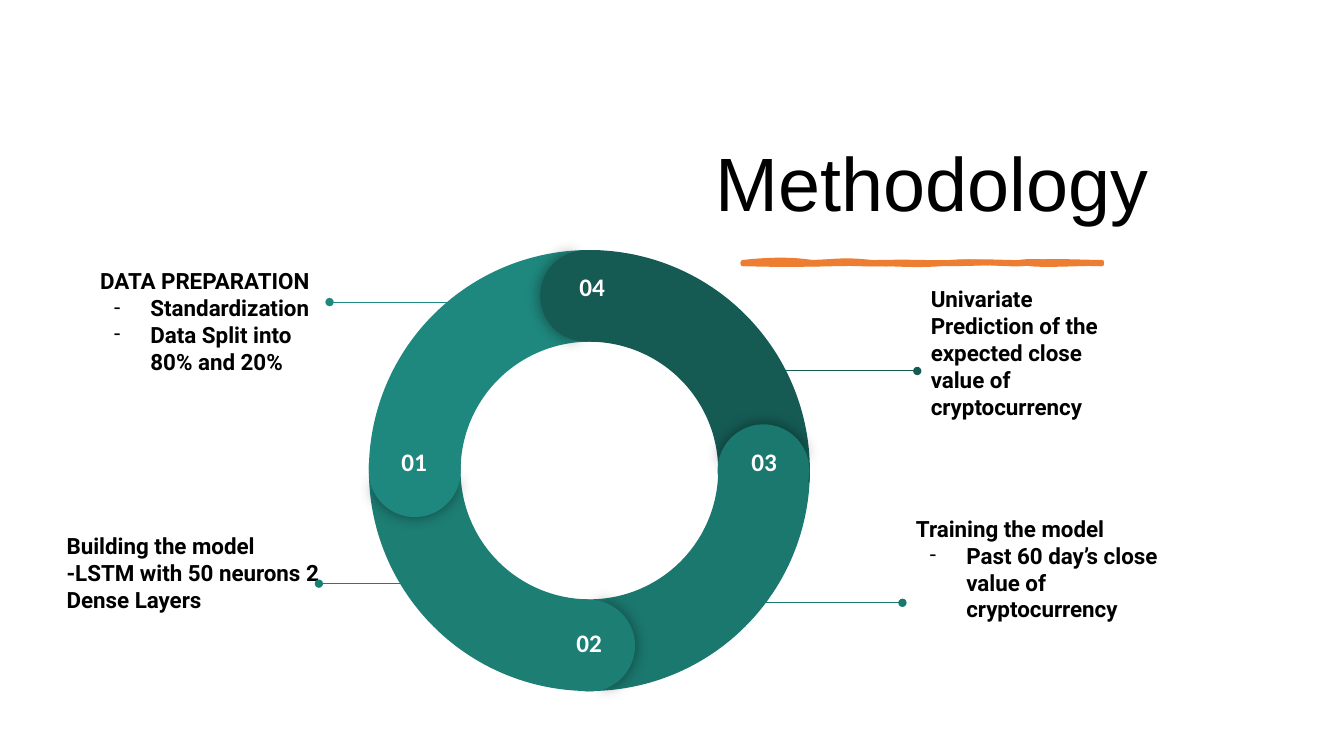
"""Build the Methodology slide: a four-part cycle with captions."""
from dataclasses import dataclass

from lxml.etree import SubElement
from pptx import Presentation
from pptx.dml.color import RGBColor as Color
from pptx.enum.shapes import MSO_CONNECTOR as Connector, MSO_SHAPE as Preset
from pptx.enum.text import MSO_ANCHOR as Anchor, PP_ALIGN as Align
from pptx.oxml.ns import qn
from pptx.shapes.autoshape import Shape
from pptx.slide import Slide
from pptx.text.text import _Paragraph as Paragraph
from pptx.util import Pt

Point = tuple[float, float]
Box = tuple[float, float, float, float]


@dataclass(frozen=True)
class Theme:
    """Colours, fonts and type sizes of the slide."""
    text: str = "000000"
    label: str = "FFFFFF"
    accent: str = "ED7D31"
    title_font: str = "Arial"
    label_font: str = "Calibri"
    body_font: str = "Roboto"
    title_size: float = 54
    label_size: float = 18
    body_size: float = 16


@dataclass(frozen=True)
class Stage:
    """One quarter of the ring with its numbered cap."""
    number: str
    colour: str
    angle: float
    cap: Point
    label: Box


@dataclass(frozen=True)
class Caption:
    """A text beside the ring and the line leading to it."""
    box: Box
    plain: tuple[str, ...]
    bullets: tuple[str, ...]
    colour: str
    line_start: float
    line_end: float
    line_y: float


THEME = Theme()
RING: Box = (263.5, 178.6, 315, 315)
CAP_SIZE = 65.5
INSET = 9.36

STAGES = (
    Stage("03", "1B786E", 90, (512.6, 303.1), (517, 312.2, 57.6, 30.2)),
    Stage("02", "1D7E74", 180, (388.1, 428.4), (392, 441.4, 57.6, 30.2)),
    Stage("01", "1F887E", 270, (263.5, 303.8), (267.1, 312.2, 57.6, 30.2)),
    Stage("04", "155B54", 0, (385.9, 178.6), (394.2, 186.9, 57.6, 37.4)),
)

CAPTIONS = (
    Caption((62.1, 188.6, 186.5, 81.4), ("DATA PREPARATION",),
            ("Standardization", "Data Split into 80% and 20%"),
            "1F887E", 344.9, 235.4, 215.8),
    Caption((655.5, 194.4, 158.4, 115.2),
            ("Univariate Prediction of the expected close value of cryptocurrency",), (),
            "155B54", 535.7, 655.2, 265),
    Caption((38.2, 360.8, 200.2, 96.5),
            ("Building the model", "-LSTM with 50 neurons 2 Dense Layers"), (),
            "1D7E74", 365.8, 227.8, 416.9),
    Caption((644.9, 362.6, 196.6, 87.1), ("Training the model",),
            ("Past 60 day’s close value of cryptocurrency",),
            "1B786E", 509.8, 644.6, 430.6),
)

UPPER_EDGES: tuple[list[Point], ...] = (
    [(530.6, 187.2), (549.4, 185), (567.4, 185), (579.6, 187.2), (591.8, 188.6),
     (607.7, 187.2), (630.7, 187.2), (653.8, 186.5), (667.4, 187.9), (684.7, 187.2),
     (702, 185.8), (723.6, 187.9), (738, 187.2), (752.4, 185.8), (776.2, 187.2), (787, 187.2)],
    [(530.6, 187.2), (553.7, 188.6), (559.4, 187.2), (579.6, 187.2), (599.8, 186.5),
     (601.9, 185), (622.8, 187.2), (643.7, 188.6), (668.2, 187.9), (679, 187.2),
     (690.5, 185.8), (715.7, 188.6), (727.9, 187.2), (740.9, 185), (766.1, 189.4), (787, 187.2)],
)
LOWER_EDGES: tuple[list[Point], ...] = (
    [(787, 188.6), (774, 188.6), (742.3, 187.2), (730.8, 188.6), (718.6, 189.4),
     (699.1, 186.5), (673.9, 188.6), (649.4, 190.1), (645.8, 188.6), (622.8, 188.6),
     (599.8, 187.9), (574.6, 190.1), (530.6, 188.6)],
    [(787, 188.6), (776.2, 187.9), (748.1, 190.1), (735.8, 188.6), (723.6, 186.5),
     (702.7, 188.6), (679, 188.6), (655.9, 187.9), (652.3, 187.2), (635.8, 188.6),
     (619.2, 189.4), (609.1, 187.9), (584.6, 188.6), (560.2, 188.6), (546.5, 187.9),
     (530.6, 188.6)],
)


def draw_underline(slide: Slide) -> None:
    """Draw the brush stroke under the title with cubic curves."""
    builder = slide.shapes.build_freeform(*map(Pt, UPPER_EDGES[0][0]), scale=1.0)
    handles: list[list[Point]] = []
    for number, (upper, lower) in enumerate(zip(UPPER_EDGES, LOWER_EDGES)):
        if number:
            builder.move_to(*map(Pt, upper[0]))
        ends = upper[3::3] + lower[::3]
        builder.add_line_segments([(Pt(x), Pt(y)) for x, y in ends])
        handles += [upper[i:i + 2] for i in range(1, len(upper), 3)]
        handles.append([])
        handles += [lower[i:i + 2] for i in range(1, len(lower), 3)]
    shape = builder.convert_to_shape()
    segments = list(shape._element.iter(qn("a:lnTo")))
    for segment, pair in zip(segments, handles):
        if pair:
            curve = segment.makeelement(qn("a:cubicBezTo"))
            for x, y in pair:
                SubElement(curve, qn("a:pt"), x=str(Pt(x) - shape.left), y=str(Pt(y) - shape.top))
            curve.append(segment[0])
            segment.getparent().replace(segment, curve)
    paint(shape, THEME.accent)
    shape.line.color.rgb = Color.from_string(THEME.accent)
    shape.line.width = Pt(3)


def paint(shape: Shape, colour: str) -> None:
    """Give a shape a flat fill without outline or shadow."""
    shape.shadow.inherit = False
    shape.fill.solid()
    shape.fill.fore_color.rgb = Color.from_string(colour)
    shape.line.fill.background()


def draw_sector(slide: Slide, preset: Preset, box: Box, rotation: float,
                adjustments: tuple[float, ...], colour: str) -> Shape:
    """Draw a rotated arc or pie."""
    shape = slide.shapes.add_shape(preset, *map(Pt, box))
    for index, value in enumerate(adjustments):
        shape.adjustments[index] = value
    shape.rotation = rotation % 360
    paint(shape, colour)
    return shape


def add_glow_shadow(shape: Shape) -> None:
    """Add a soft black shadow around a shape."""
    effects = shape._element.spPr.find(qn("a:effectLst"))
    shadow = SubElement(effects, qn("a:outerShdw"), blurRad=str(Pt(11.2)), dist="0", dir="0",
                        algn="ctr", rotWithShape="0")
    black = SubElement(shadow, qn("a:srgbClr"), val="000000")
    SubElement(black, qn("a:alpha"), val="43000")


def add_text(slide: Slide, box: Box, lines: tuple[str, ...], font: str, size: float,
             colour: str, bold: bool = True, anchor: Anchor = Anchor.TOP,
             insets: Point = (INSET, INSET)) -> list[Paragraph]:
    """Add a wrapped text box and return its paragraphs."""
    frame = slide.shapes.add_textbox(*map(Pt, box)).text_frame
    frame.word_wrap = True
    frame.vertical_anchor = anchor
    frame.margin_left = frame.margin_right = Pt(insets[0])
    frame.margin_top = frame.margin_bottom = Pt(insets[1])
    frame.text = "\n".join(lines)
    for paragraph in frame.paragraphs:
        paragraph.font.name = font
        paragraph.font.size = Pt(size)
        paragraph.font.bold = bold
        paragraph.font.color.rgb = Color.from_string(colour)
    return list(frame.paragraphs)


def draw_cap(slide: Slide, stage: Stage) -> None:
    """Draw the round end of a stage and its number."""
    box = (*stage.cap, CAP_SIZE, CAP_SIZE)
    add_glow_shadow(draw_sector(slide, Preset.PIE, box, stage.angle + 0.7,
                                (61.9, 149.96), stage.colour))
    draw_sector(slide, Preset.PIE, box, stage.angle + 180, (40.28, 171.84), stage.colour)
    paragraph, = add_text(slide, stage.label, (stage.number,), THEME.label_font,
                          THEME.label_size, THEME.label)
    paragraph.alignment = Align.CENTER
    paragraph.line_spacing = 0.9
    paragraph.space_after = Pt(6)


def draw_caption(slide: Slide, caption: Caption) -> None:
    """Write a caption and draw its dotted leader line."""
    paragraphs = add_text(slide, caption.box, caption.plain + caption.bullets, THEME.body_font,
                          THEME.body_size, THEME.text, anchor=Anchor.MIDDLE)
    for paragraph in paragraphs[len(caption.plain):]:
        properties = paragraph._p.get_or_add_pPr()
        properties.set("marL", str(Pt(36)))
        properties.set("indent", str(Pt(-26)))
        bullet_colour = properties.makeelement(qn("a:buClr"))
        SubElement(bullet_colour, qn("a:srgbClr"), val=THEME.text)
        properties.insert(0, bullet_colour)
        properties.insert(1, properties.makeelement(qn("a:buFont"), typeface=THEME.body_font))
        properties.insert(2, properties.makeelement(qn("a:buChar"), char="-"))
    leader = slide.shapes.add_connector(Connector.STRAIGHT, *map(
        Pt, (caption.line_start, caption.line_y, caption.line_end, caption.line_y)))
    leader.line.color.rgb = Color.from_string(caption.colour)
    leader.line.width = Pt(0.75)
    SubElement(leader.line._get_or_add_ln(), qn("a:tailEnd"), type="oval")
    SubElement(leader._element.spPr, qn("a:effectLst"))


def main() -> None:
    """Assemble and save the presentation."""
    presentation = Presentation()
    presentation.slide_width, presentation.slide_height = Pt(960), Pt(540)
    slide = presentation.slides.add_slide(presentation.slide_layouts[6])
    title, = add_text(slide, (504, 50, 406, 116.6), ("Methodology",), THEME.title_font,
                      THEME.title_size, THEME.text, False, Anchor.BOTTOM, (7.2, 3.6))
    title.line_spacing = 0.9
    draw_underline(slide)
    for stage in STAGES:
        draw_sector(slide, Preset.BLOCK_ARC, RING, stage.angle + 60,
                    (126.23, 181.77, 0.208), stage.colour)
    for stage in STAGES:
        draw_cap(slide, stage)
    for caption in CAPTIONS:
        draw_caption(slide, caption)
    presentation.save("out.pptx")


if __name__ == "__main__":
    main()
